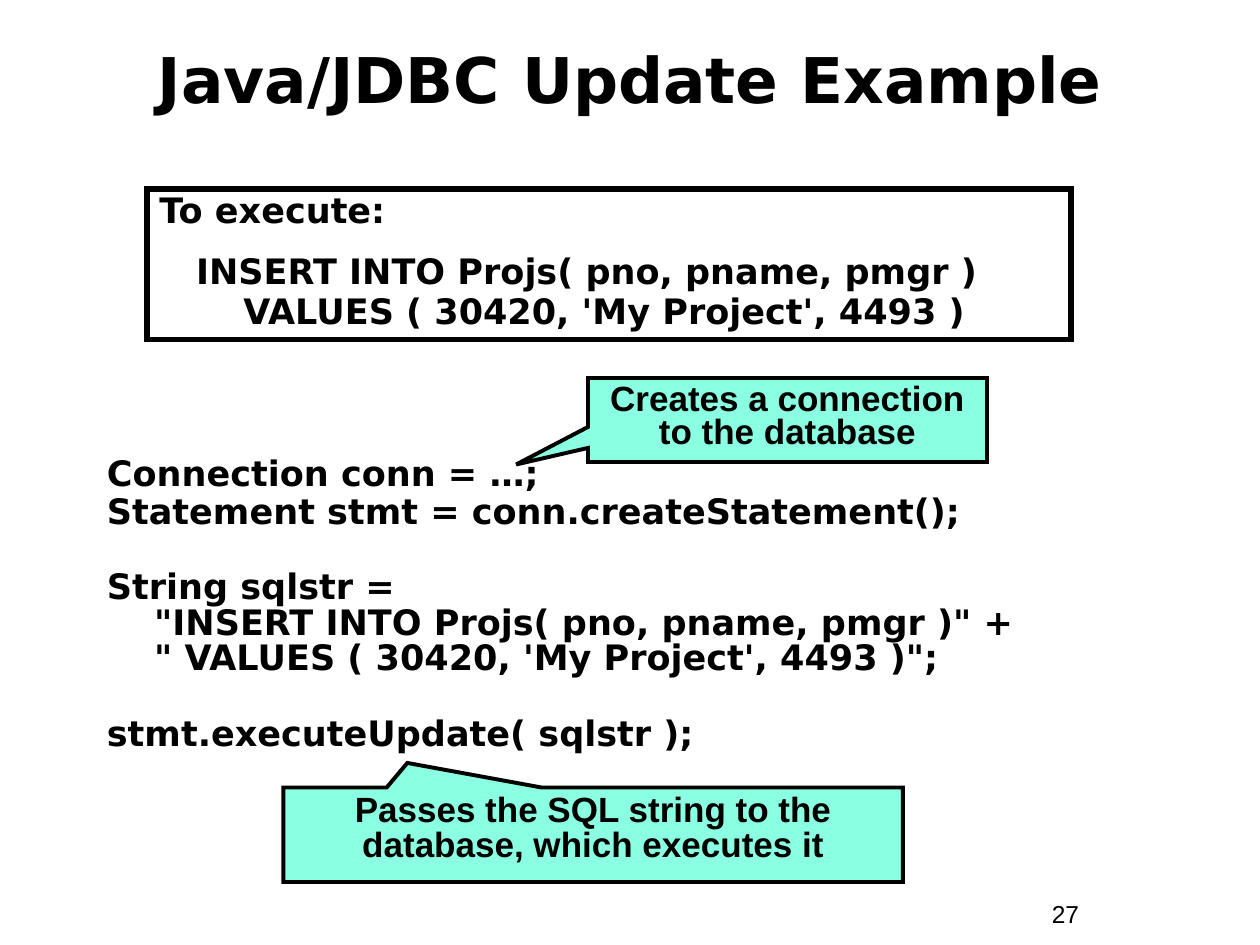
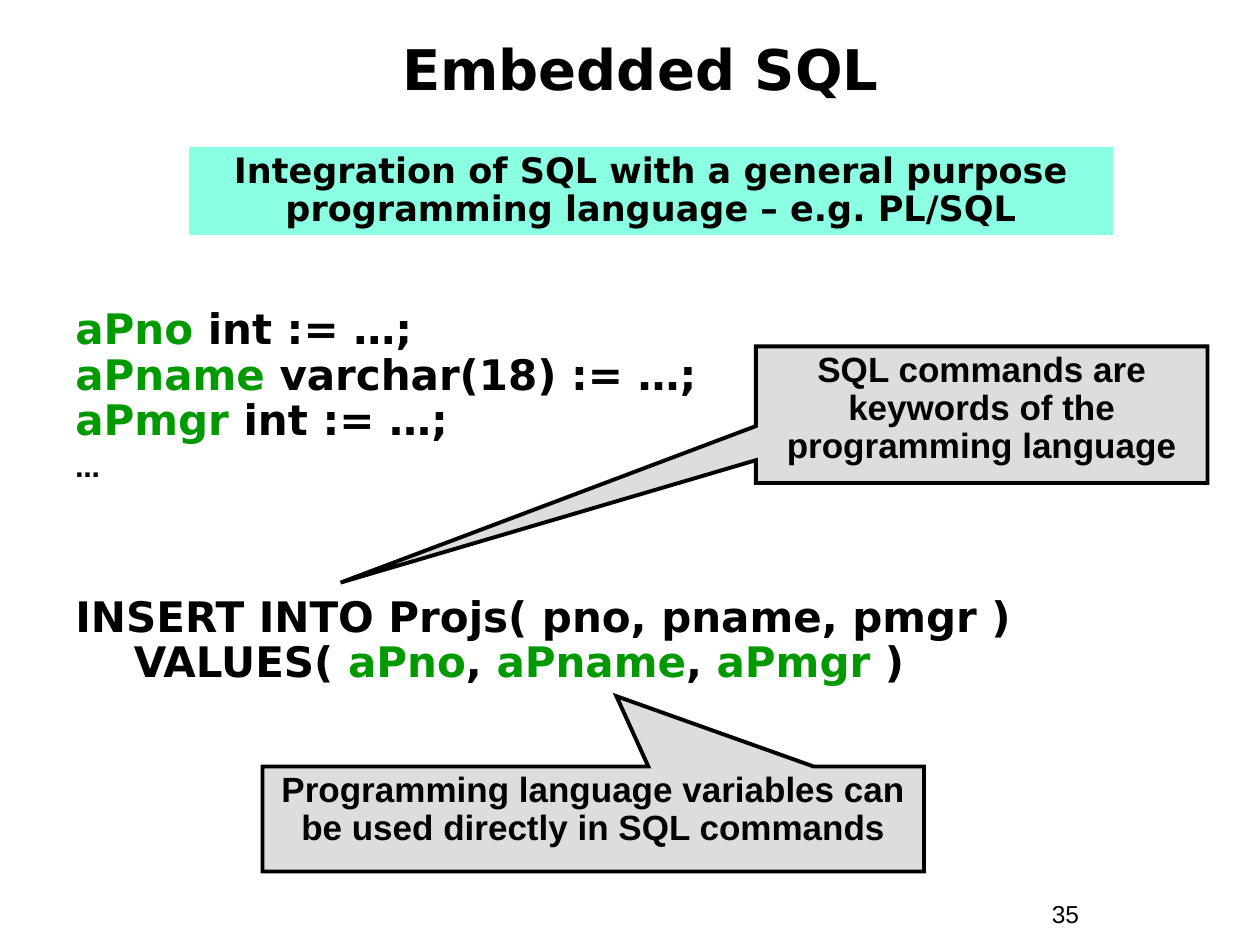
from dataclasses import dataclass

from lxml import etree
from pptx import Presentation
from pptx.dml.color import RGBColor
from pptx.enum.shapes import MSO_SHAPE
from pptx.enum.text import MSO_ANCHOR, PP_ALIGN
from pptx.oxml.ns import qn
from pptx.util import Pt

RECTANGLE, CALLOUT = MSO_SHAPE.RECTANGLE, MSO_SHAPE.RECTANGULAR_CALLOUT
LEFT, CENTER = PP_ALIGN.LEFT, PP_ALIGN.CENTER
TOP, MIDDLE = MSO_ANCHOR.TOP, MSO_ANCHOR.MIDDLE

COLORS = {
    "text": "000000",
    "variable": "009900",
    "mint": "8BFFE1",
    "gray": "DDDDDD",
}
CODE_FONT, NOTE_FONT = "DejaVu Sans", "Arial"
HANG = 27


@dataclass(frozen=True)
class Span:
    text: str
    color: str = "text"


@dataclass(frozen=True)
class Para:
    lines: tuple[tuple[Span, ...], ...]
    size: float = 20
    font: str = CODE_FONT
    bold: bool = True
    align: PP_ALIGN = LEFT
    spacing: float = 1.0
    before: float = 0
    margin: float = 0
    indent: float = 0


@dataclass(frozen=True)
class Box:
    left: float
    top: float
    width: float
    height: float
    paras: tuple[Para, ...]
    anchor: MSO_ANCHOR = TOP
    shape: MSO_SHAPE | None = None
    fill: str | None = None
    line_width: float = 0
    tip: tuple[float, float] | None = None


def code(*lines: str | tuple[Span, ...], size: float = 20, spacing: float = 0.85,
         before: float = 0, margin: float = HANG, indent: float = -HANG) -> Para:
    """A paragraph of code whose continuation lines hang."""
    spans = tuple((Span(line),) if isinstance(line, str) else line for line in lines)
    return Para(spans, size, spacing=spacing, before=before, margin=margin, indent=indent)


def centered(text: str, size: float = 20, font: str = CODE_FONT, spacing: float = 1.0) -> Para:
    return Para(((Span(text),),), size, font, align=CENTER, spacing=spacing)


def title(left: float, top: float, height: float, text: str, size: float) -> Box:
    return Box(left, top, 672, height, (centered(text, size),), MIDDLE)


def callout(left: float, top: float, width: float, height: float, text: str,
            fill: str, tip: tuple[float, float], spacing: float) -> Box:
    note = centered(text, font=NOTE_FONT, spacing=spacing)
    return Box(left, top, width, height, (note,), shape=CALLOUT, fill=fill,
               line_width=2.25, tip=tip)


def page_number(number: int) -> Box:
    para = Para(((Span(str(number)),),), 14, NOTE_FONT, bold=False)
    return Box(594, 510, 66, 24.5, (para,))


def declaration(name: str, kind: str, before: float = 1.5) -> Para:
    """A variable declaration with the name highlighted."""
    return code((Span(name, "variable"), Span(f" {kind} := …;")), size=24, before=before)


def write_para(paragraph, para: Para) -> None:
    paragraph.alignment = para.align
    paragraph.line_spacing = para.spacing
    paragraph.space_before = Pt(para.before)
    properties = paragraph._p.get_or_add_pPr()
    properties.set("marL", str(Pt(para.margin)))
    properties.set("indent", str(Pt(para.indent)))
    for index, line in enumerate(para.lines):
        if index:
            paragraph.add_line_break()
        for span in line:
            run = paragraph.add_run()
            run.text = span.text
            run.font.name = para.font
            run.font.size = Pt(para.size)
            run.font.bold = para.bold
            run.font.color.rgb = RGBColor.from_string(COLORS[span.color])


def style_shape(shape, box: Box) -> None:
    shape.shadow.inherit = False
    if box.fill:
        shape.fill.solid()
        shape.fill.fore_color.rgb = RGBColor.from_string(COLORS[box.fill])
    else:
        shape.fill.background()
    if box.line_width:
        shape.line.color.rgb = RGBColor.from_string(COLORS["text"])
        shape.line.width = Pt(box.line_width)
        # Sharp outline corners
        outline = shape._element.spPr.find(qn("a:ln"))
        etree.SubElement(outline, qn("a:miter"), lim="800000")
    else:
        shape.line.fill.background()
    if box.tip:
        shape.adjustments[0], shape.adjustments[1] = box.tip


def draw_box(page, box: Box) -> None:
    frame = Pt(box.left), Pt(box.top), Pt(box.width), Pt(box.height)
    if box.shape is None:
        shape = page.shapes.add_textbox(*frame)
    else:
        shape = page.shapes.add_shape(box.shape, *frame)
        style_shape(shape, box)
    text = shape.text_frame
    text.word_wrap = True
    text.vertical_anchor = box.anchor
    for index, para in enumerate(box.paras):
        write_para(text.add_paragraph() if index else text.paragraphs[0], para)


# Update through JDBC
UPDATE_PAGE = (
    page_number(27),
    title(24, 18, 54, "Java/JDBC Update Example", 36),
    Box(54, 258, 600, 228, (
        code("Connection conn = …;"),
        code("Statement stmt = conn.createStatement();", before=1.2),
        code("String sqlstr =",
             '"INSERT INTO Projs( pno, pname, pmgr )" +',
             '" VALUES ( 30420, \'My Project\', 4493 )";', before=22.7),
        code("stmt.executeUpdate( sqlstr );", before=22.7),
    )),
    callout(336, 216, 228, 48, "Creates a connection to the database",
            "mint", (-0.68, 0.53), 0.8),
    callout(162, 450, 354, 54, "Passes the SQL string to the database, which executes it",
            "mint", (-0.3, -0.76), 0.85),
    Box(84, 108, 528, 86, (
        code("To execute:"),
        code("INSERT INTO Projs( pno, pname, pmgr )",
             "VALUES ( 30420, 'My Project', 4493 )",
             spacing=0.95, before=12.5, margin=48),
    ), shape=RECTANGLE, line_width=3),
)

# SQL inside a programming language
EMBEDDED_PAGE = (
    page_number(35),
    title(30, 6, 66, "Embedded SQL", 32),
    Box(36, 174, 648, 240, (
        declaration("aPno", "int", before=0),
        declaration("aPname", "varchar(18)"),
        declaration("aPmgr", "int"),
        code("…", size=14, spacing=0.9, before=7),
        code("INSERT INTO Projs( pno, pname, pmgr )", size=24, before=65.5),
        code((Span("VALUES( "), Span("aPno", "variable"), Span(", "),
              Span("aPname", "variable"), Span(", "),
              Span("aPmgr", "variable"), Span(" )")),
             size=24, before=1.5, margin=33.4, indent=0),
    )),
    callout(150, 438, 378, 60,
            "Programming language variables can be used directly in SQL commands",
            "gray", (0.035, -1.17), 0.9),
    callout(432, 198, 258, 78, "SQL commands are keywords of the programming language",
            "gray", (-1.42, 1.23), 0.9),
    Box(108, 84, 528, 50.4, (
        centered("Integration of SQL with a general purpose programming language"
                 " – e.g. PL/SQL", spacing=0.9),
    ), shape=RECTANGLE, fill="mint"),
)


def main() -> None:
    deck = Presentation()
    deck.slide_width, deck.slide_height = Pt(720), Pt(540)
    blank = deck.slide_layouts[6]
    for boxes in (UPDATE_PAGE, EMBEDDED_PAGE):
        page = deck.slides.add_slide(blank)
        for box in boxes:
            draw_box(page, box)
    deck.save("out.pptx")


if __name__ == "__main__":
    main()
